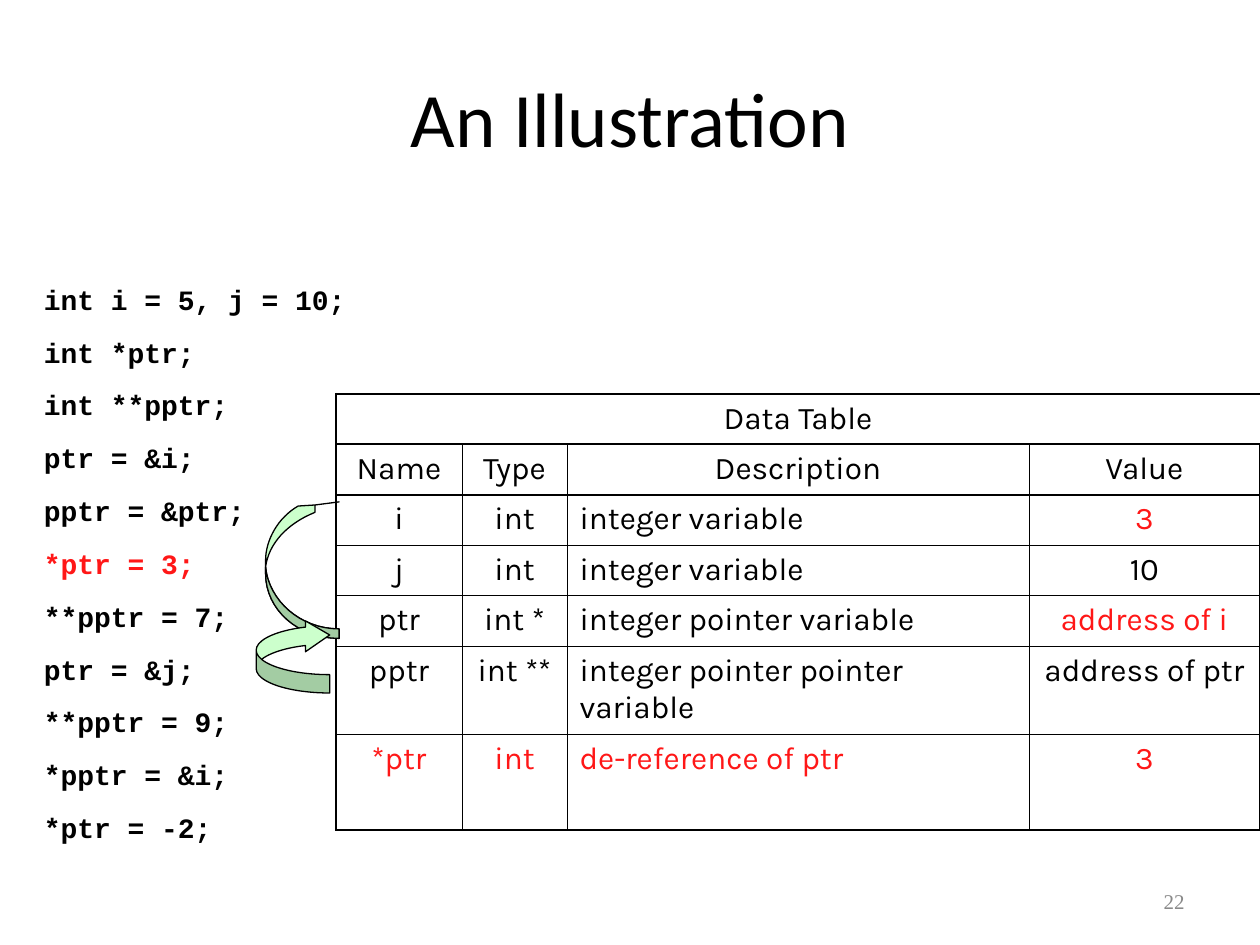
from pptx import Presentation
from pptx import util as u
from pptx.dml.color import RGBColor
from pptx.enum import shapes, text
from pptx.oxml import parse_xml
from pptx.oxml.ns import nsdecls

BLACK = RGBColor(0x00, 0x00, 0x00)
RED = RGBColor(0xFF, 0x17, 0x17)
GRAY = RGBColor(0x89, 0x89, 0x89)
LIGHT_GREEN = RGBColor(0xCC, 0xFF, 0xCC)
DARK_GREEN = RGBColor(0xA3, 0xCC, 0xA3)

UNIT = u.Inches(10) / 120  # the slide is a grid of 120 columns by 90 rows
COLUMN_SPANS = [12, 10, 44, 22]
ROW_SPANS = [4.8] * 5 + [8.4, 9.12]
THIN, THICK = 0.45, 1.08

CODE = [
    "int i = 5, j = 10;", "int *ptr;", "int **pptr;", "ptr = &i;",
    "pptr = &ptr;", "*ptr = 3;", "**pptr = 7;", "ptr = &j;",
    "**pptr = 9;", "*pptr = &i;", "*ptr = -2;",
]
CURRENT_STATEMENT = "*ptr = 3;"
DATA = [
    ["Data Table", "", "", ""],
    ["Name", "Type", "Description", "Value"],
    ["i", "int", "integer variable", "3"],
    ["j", "int", "integer variable", "10"],
    ["ptr", "int *", "integer pointer variable", "address of i"],
    ["pptr", "int **", "integer pointer pointer variable", "address of ptr"],
    ["*ptr", "int", "de-reference of ptr", "3"],
]
CHANGED_CELLS = {(2, 3), (4, 3)} | {(6, column) for column in range(4)}

# Each curve is two control points and an end point; a single point is a line.
TAIL_INNER = [[(25.6, 57.2), (28.6, 59.9), (32.3, 59.9)]]
TAIL_OUTER = [[(28.4, 60.8), (25.3, 58.1), (25.3, 54.6)]]
TAIL_START = (32.3, 60.8)
HOOK = [
    [(25.3, 53.4)],
    [(25.3, 51.4), (26.5, 49.3), (28.4, 48.2)],
    [(30, 48.1)], [(32.3, 47.8)], [(30, 48.1)], [(30, 48.8)],
    [(27.3, 49.9), (25.6, 51.8), (25.3, 54)],
]


def grid(*spans):
    return [u.Emu(round(span * UNIT)) for span in spans]


def style(para, font_name, size, color, bold=False):
    for span in para.runs:
        span.font.name = font_name
        span.font.size = u.Pt(size)
        span.font.color.rgb = color
        span.font.bold = bold


def add_title(page, words):
    title = page.shapes.title
    title.left, title.top, title.width, title.height = grid(6, 3.6, 108, 15)
    title.text_frame.text = words
    title.text_frame.vertical_anchor = text.MSO_ANCHOR.MIDDLE
    para = title.text_frame.paragraphs[0]
    para.alignment = text.PP_ALIGN.CENTER
    style(para, "Calibri", 44, BLACK)


def add_page_number(page, number):
    frame = page.shapes.add_textbox(*grid(86, 83.4, 28, 4.8)).text_frame
    frame.word_wrap = True
    frame.vertical_anchor = text.MSO_ANCHOR.MIDDLE
    frame.text = number
    frame.paragraphs[0].alignment = text.PP_ALIGN.RIGHT
    style(frame.paragraphs[0], "Times New Roman", 12, GRAY)


def add_code(page):
    frame = page.shapes.add_textbox(*grid(3, 26.3, 112, 53)).text_frame
    frame.word_wrap = True
    frame.text = "\n".join(CODE)
    for index, para in enumerate(frame.paragraphs):
        if index:
            para.space_before = u.Pt(11)
        color = RED if para.text == CURRENT_STATEMENT else BLACK
        style(para, "Courier New", 16, color, bold=True)


def set_borders(cell, widths):
    """Draw the left, right, top and bottom borders in the given points."""
    properties = cell._tc.get_or_add_tcPr()
    for side, width in zip("LRTB", widths):
        properties.append(parse_xml(
            f'<a:ln{side} {nsdecls("a")} w="{u.Pt(width)}"><a:solidFill>'
            f'<a:srgbClr val="{BLACK}"/></a:solidFill></a:ln{side}>'))


def add_data_table(page):
    last_row, last_column = len(ROW_SPANS) - 1, len(COLUMN_SPANS) - 1
    place = grid(32, 37.5, sum(COLUMN_SPANS), sum(ROW_SPANS))
    table = page.shapes.add_table(
        len(ROW_SPANS), len(COLUMN_SPANS), *place).table
    table.first_row = table.horz_banding = False
    for column, width in zip(table.columns, grid(*COLUMN_SPANS)):
        column.width = width
    for row, height in zip(table.rows, grid(*ROW_SPANS)):
        row.height = height
    table.cell(0, 0).merge(table.cell(0, last_column))
    for r, values in enumerate(DATA):
        for c, value in enumerate(values):
            cell = table.cell(r, c)
            heavy = (c == 0, c == last_column, r <= 2, r in (0, 1, last_row))
            set_borders(cell, [THICK if edge else THIN for edge in heavy])
            cell.fill.background()
            if not value:
                continue
            cell.text_frame.text = value
            para = cell.text_frame.paragraphs[0]
            if c != 2 or r < 2:
                para.alignment = text.PP_ALIGN.CENTER
            style(para, "Karla", 18, RED if (r, c) in CHANGED_CELLS else BLACK)


def finish(shape, color):
    shape.shadow.inherit = False
    shape.fill.solid()
    shape.fill.fore_color.rgb = color
    shape.line.color.rgb = BLACK
    shape.line.width = u.Pt(0.75)


def trace(start, segments, steps=16):
    """Turn lines and cubic curves into a list of points."""
    points = [start]
    for segment in segments:
        if len(segment) == 1:
            points += segment
            continue
        corners = [points[-1], *segment]
        for step in range(1, steps + 1):
            t = step / steps
            weights = ((1 - t) ** 3, 3 * t * (1 - t) ** 2,
                       3 * t ** 2 * (1 - t), t ** 3)
            points.append(tuple(
                sum(w * corner[axis] for w, corner in zip(weights, corners))
                for axis in (0, 1)))
    return points


def add_outline(page, start, segments, color):
    first, *rest = [grid(*point) for point in trace(start, segments)]
    builder = page.shapes.build_freeform(*first)
    builder.add_line_segments(rest, close=True)
    finish(builder.convert_to_shape(), color)


def add_arrow_to_i(page):
    add_outline(page, TAIL_START, TAIL_OUTER + HOOK + TAIL_INNER, LIGHT_GREEN)
    add_outline(page, TAIL_START, TAIL_OUTER + [[(25.3, 54)]] + TAIL_INNER,
                DARK_GREEN)


def add_arrow_to_ptr(page):
    arrow = page.shapes.add_shape(
        shapes.MSO_SHAPE.CURVED_LEFT_ARROW, *grid(24.4, 59, 7, 7))
    arrow.rotation = 180
    for index, share in enumerate((0.25, 0.42, 0.33)):
        arrow.adjustments[index] = share
    finish(arrow, LIGHT_GREEN)


def main():
    deck = Presentation()
    deck.slide_width, deck.slide_height = grid(120, 90)
    page = deck.slides.add_slide(deck.slide_layouts.get_by_name("Title Only"))
    add_title(page, "An Illustration")
    add_page_number(page, "22")
    add_code(page)
    add_data_table(page)
    add_arrow_to_i(page)
    add_arrow_to_ptr(page)
    deck.save("out.pptx")


if __name__ == "__main__":
    main()
